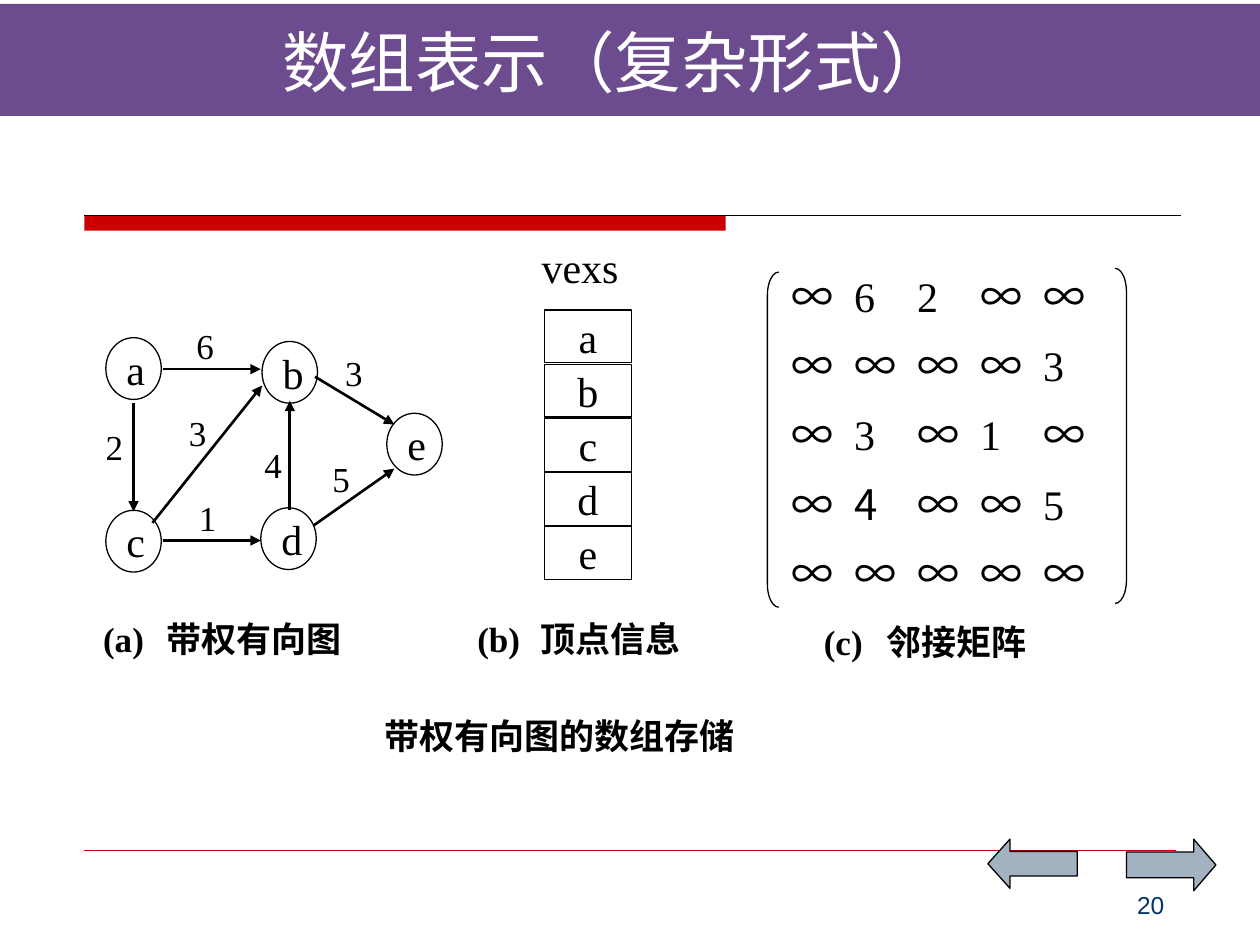
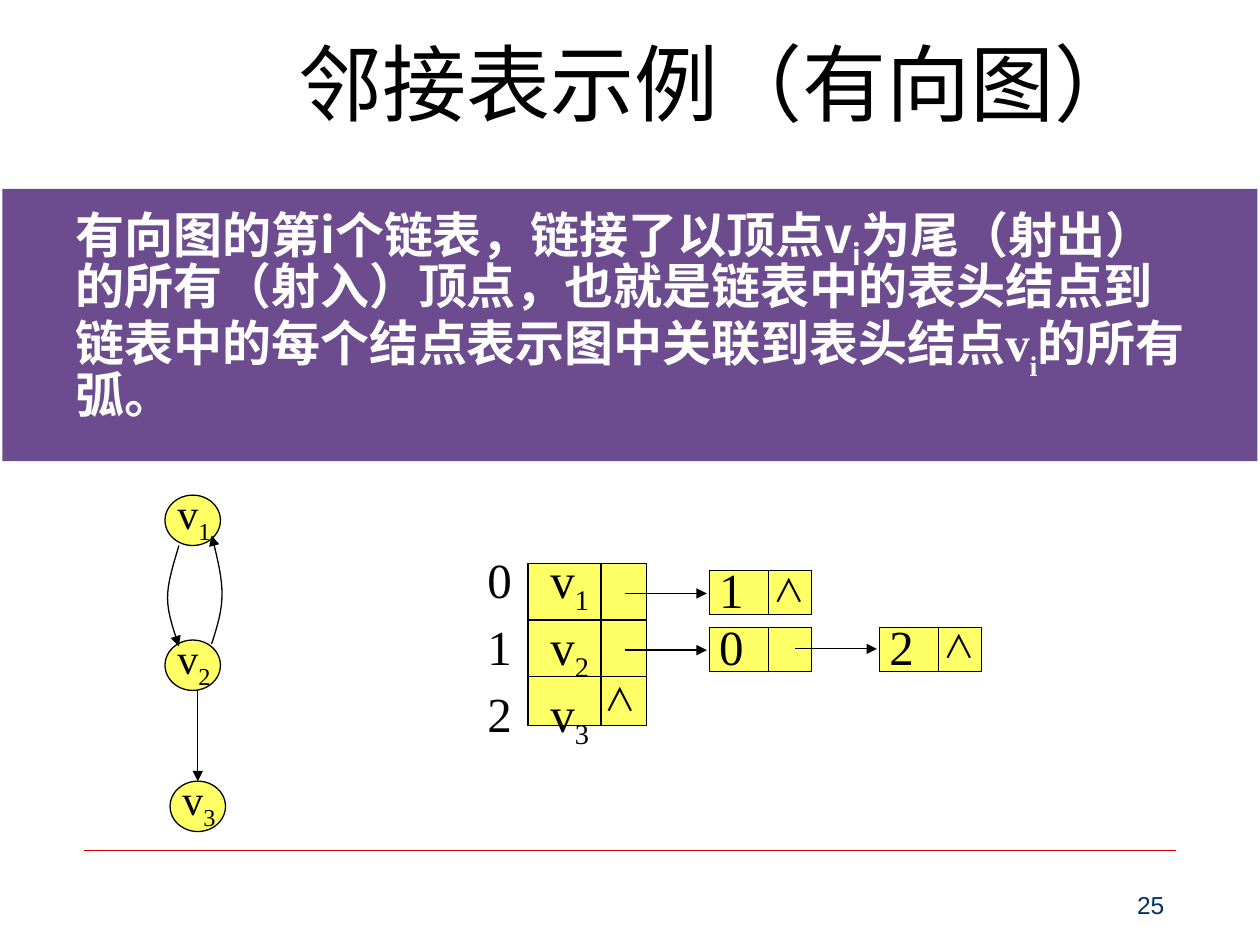
from lxml.etree import SubElement
from pptx import Presentation
from pptx.dml.color import RGBColor
from pptx.enum.shapes import MSO_CONNECTOR, MSO_SHAPE
from pptx.enum.text import MSO_ANCHOR, MSO_AUTO_SIZE, PP_ALIGN
from pptx.oxml.ns import qn
from pptx.util import Inches, Pt

PURPLE, RED, NAVY = "6C4C8F", "CC0000", "003366"
YELLOW, STEEL, BLACK, WHITE = "FFFF66", "A3B2C1", "000000", "FFFFFF"
ROMAN, HAN, SANS, TITLE = "Times New Roman", "Noto Sans CJK SC", "Arial", "DejaVu Sans"
LEFT, MID, RIGHT = PP_ALIGN.LEFT, PP_ALIGN.CENTER, PP_ALIGN.RIGHT


def color(code):
    return RGBColor.from_string(code)


def write(frame, paras, font=ROMAN, size=24, ink=BLACK, bold=False, align=LEFT,
          anchor=MSO_ANCHOR.MIDDLE, wrap=True, tabs=(), pace=None, inset=None):
    frame.auto_size = MSO_AUTO_SIZE.NONE
    frame.word_wrap = wrap
    frame.vertical_anchor = anchor
    if inset is not None:
        frame.margin_left = frame.margin_right = frame.margin_top = Inches(inset)
    if isinstance(paras, str):
        paras = [[(paras, font, 0)]]
    for i, runs in enumerate(paras):
        para = frame.add_paragraph() if i else frame.paragraphs[0]
        props = para._p.get_or_add_pPr()
        props.set("marL", "0")
        props.set("indent", "0")
        SubElement(props, qn("a:buNone"))
        if tabs:
            stops = SubElement(props, qn("a:tabLst"))
            for stop in tabs:
                SubElement(stops, qn("a:tab"), pos=str(Inches(stop)), algn="l")
        para.alignment = align
        para.space_before = Pt(0)
        if pace:
            para.line_spacing = pace
        for words, face, base in runs:
            run = para.add_run()
            run.text = words
            run.font.name = face
            run.font.size = Pt(size)
            run.font.bold = bold
            run.font.color.rgb = color(ink)
            mark = run._r.get_or_add_rPr()
            SubElement(mark, qn("a:ea"), typeface=HAN)
            if base:
                mark.set("baseline", str(base * 1000))


def stroke(item, ink, width, arrow=False):
    item.line.color.rgb = color(ink)
    item.line.width = Pt(width)
    if arrow:
        SubElement(item.line._get_or_add_ln(), qn("a:tailEnd"), type="triangle")


class Box:
    def __init__(self, slide, x=0, y=0):
        self.shapes, self.x, self.y = slide.shapes, x, y

    def spot(self, x, y):
        return Inches(self.x + x), Inches(self.y + y)

    def shape(self, kind, x, y, w, h, fill=None, ink=BLACK):
        item = self.shapes.add_shape(kind, *self.spot(x, y), Inches(w), Inches(h))
        item.shadow.inherit = False
        if fill:
            item.fill.solid()
            item.fill.fore_color.rgb = color(fill)
        else:
            item.fill.background()
        if ink:
            stroke(item, ink, 0.75)
        else:
            item.line.fill.background()
        return item

    def text(self, words, x, y, w, h, **form):
        item = self.shapes.add_textbox(*self.spot(x, y), Inches(w), Inches(h))
        write(item.text_frame, words, **form)

    def line(self, x, y, to_x, to_y, ink=BLACK, width=0.75, arrow=False):
        item = self.shapes.add_connector(
            MSO_CONNECTOR.STRAIGHT, *self.spot(x, y), *self.spot(to_x, to_y))
        stroke(item, ink, width, arrow)
        SubElement(item._element.spPr, qn("a:effectLst"))

    def curve(self, ends):
        (a, b, c, d) = ends
        dots = []
        for i in range(17):
            t = i / 16
            u = 1 - t
            mix = (u ** 3, 3 * u * u * t, 3 * u * t * t, t ** 3)
            dots.append(self.spot(*(sum(m * p[k] for m, p in zip(mix, (a, b, c, d)))
                                    for k in (0, 1))))
        path = self.shapes.build_freeform(*dots[0], scale=1.0)
        path.add_line_segments(dots[1:], close=False)
        item = path.convert_to_shape()
        item.shadow.inherit = False
        item.fill.background()
        stroke(item, BLACK, 0.75, True)


def place(holder, x, y, w, h, words, **form):
    holder.left, holder.top = Inches(x), Inches(y)
    holder.width, holder.height = Inches(w), Inches(h)
    write(holder.text_frame, words, **form)


def frame(deck, layout, number, x, y, w, h):
    slide = deck.slides.add_slide(deck.slide_layouts[layout])
    box = Box(slide)
    first = slide.shapes[0].element
    band = box.shape(MSO_SHAPE.RECTANGLE, x, y, w, h, PURPLE, None)
    first.addprevious(band.element)
    box.line(0.67, 6.75, 9.33, 6.75, RED, 0.25)
    box.text(number, 7.17, 6.83, 2.17, 0.52, font=SANS, size=14, ink=NAVY,
             align=RIGHT, anchor=MSO_ANCHOR.BOTTOM)
    return slide


def graph(slide, x, y):
    box = Box(slide, x, y)
    for name, dx, dy in (("a", 0.1, 0.15), ("b", 1.34, 0.18), ("c", 0.1, 1.52),
                         ("d", 1.33, 1.5), ("e", 2.33, 0.75)):
        node = box.shape(MSO_SHAPE.OVAL, dx, dy, 0.44, 0.49)
        write(node.text_frame, name, wrap=False)
    for ends in ((0.32, 0.67, 0.32, 1.53), (1.56, 1.52, 1.56, 0.65),
                 (0.55, 0.4, 1.33, 0.4), (0.55, 1.76, 1.33, 1.76),
                 (0.47, 1.62, 1.34, 0.53), (1.75, 1.64, 2.39, 1.19),
                 (1.76, 0.46, 2.39, 0.84)):
        box.line(*ends, width=1.5, arrow=True)
    for cost, dx, dy in (("6", 0.72, 0), ("3", 1.9, 0.21), ("2", 0, 0.8),
                         ("3", 0.66, 0.69), ("4", 1.26, 0.94), ("5", 1.8, 1.05),
                         ("1", 0.74, 1.36)):
        box.text(cost, dx, dy, 0.35, 0.43, size=20)


def vertex(slide, x, y):
    box = Box(slide, x, y)
    box.text("vexs", -0.12, -0.58, 0.95, 0.48)
    for i, name in enumerate("abcde"):
        cell = box.shape(MSO_SHAPE.RECTANGLE, 0, i * 0.43, 0.69, 0.42)
        write(cell.text_frame, name, align=MID, wrap=False)


def matrix(slide, x, y):
    box = Box(slide, x, y)
    rows = (("∞62∞∞", (0.41, 0.91, 1.33, 1.74)),
            ("∞∞∞∞3", (0.41, 0.83, 1.33, 1.91)),
            ("∞3∞1∞", (0.59, 0.93, 1.5, 1.93)),
            ("∞4∞∞5", (0.41, 0.76, 1.17, 1.66)),
            ("∞∞∞∞∞", (0.41, 0.82, 1.24, 1.65)))
    for i, (row, tabs) in enumerate(rows):
        runs = [("\t" * (k > 0) + mark,
                 HAN if mark == "∞" or (i, k) == (3, 1) else ROMAN, 0)
                for k, mark in enumerate(row)]
        box.text([runs], 0.09, i * 0.55, 2.66, 0.49, tabs=tabs)
    for kind, dx, dy in ((MSO_SHAPE.LEFT_BRACKET, 0, 0.06),
                         (MSO_SHAPE.RIGHT_BRACKET, 2.76, 0.03)):
        side = box.shape(kind, dx, dy, 0.09, 2.66)
        side.adjustments[0] = 2.06


def array(deck):
    slide = frame(deck, 5, "20", 0, 0.03, 10, 0.89)
    place(slide.shapes.title, 2.14, 0.02, 5.7, 0.92, "数组表示（复杂形式）",
          font=TITLE, size=38, ink=WHITE)
    box = Box(slide)
    box.shape(MSO_SHAPE.RECTANGLE, 0.67, 1.71, 5.09, 0.12, RED, None)
    box.line(0.67, 1.71, 9.37, 1.71)
    graph(slide, 0.74, 2.53)
    vertex(slide, 4.32, 2.46)
    matrix(slide, 6.09, 2.1)
    for words, x, y, tab in (("(a)\t带权有向图", 0.72, 4.82, 0.54),
                             ("(b)\t顶点信息", 3.69, 4.82, 0.61),
                             ("(c)\t邻接矩阵", 6.44, 4.85, 0.59),
                             ("带权有向图的数组存储", 2.95, 5.59, 1)):
        box.text(words, x, y, 4.1 if x == 2.95 else 2.3, 0.49, size=20, bold=True,
                 tabs=(tab,))
    for kind, x, h, tip in ((MSO_SHAPE.RIGHT_ARROW, 8.94, 0.41, 0.43),
                            (MSO_SHAPE.LEFT_ARROW, 7.84, 0.39, 0.45)):
        arrow = box.shape(kind, x, 6.66, 0.71, h, STEEL)
        arrow.adjustments[1] = tip


def sub(name, base=-25, font=ROMAN):
    return [(name[:-1], font, 0), (name[-1], font, base)]


def cycle(slide, x, y):
    box = Box(slide, x, y)
    for name, dx, dy in (("v1", 0, 0), ("v2", 0, 1.15), ("v3", 0.04, 2.27)):
        box.shape(MSO_SHAPE.OVAL, dx, dy, 0.44, 0.4, YELLOW)
        box.text([sub(name)], dx + 0.05, dy - 0.06, 0.36, 0.47, align=MID,
                 anchor=MSO_ANCHOR.TOP, inset=0)
    box.curve(((0.11, 0.4), (-0.01, 0.8), (-0.01, 0.84), (0.11, 1.2)))
    box.curve(((0.37, 1.18), (0.48, 0.85), (0.48, 0.74), (0.37, 0.32)))
    box.line(0.26, 1.55, 0.26, 2.27, arrow=True)


def nil(box, x, y):
    box.text("∧", x, y, 0.69, 0.61, font=HAN, size=18, anchor=MSO_ANCHOR.TOP)


def link(slide, x, y, index, last):
    box = Box(slide, x, y)
    box.shape(MSO_SHAPE.RECTANGLE, 0, 0, 0.81, 0.35, YELLOW)
    box.line(0.47, 0, 0.47, 0.35)
    box.text(index, -0.02, -0.14, 0.69, 0.67, size=28, anchor=MSO_ANCHOR.TOP)
    if last:
        nil(box, 0.41, -0.05)
    else:
        box.line(0.68, 0.17, 1.33, 0.17, arrow=True)


def heads(slide, x, y):
    box = Box(slide, x, y)
    box.shape(MSO_SHAPE.RECTANGLE, 0, 0, 0.94, 1.29, YELLOW)
    box.line(0.58, 0, 0.58, 1.29)
    for i in (0, 1):
        box.line(0, 0.45 * (i + 1), 0.94, 0.45 * (i + 1))
        box.line(0.77, 0.24 + 0.45 * i, 1.42, 0.24 + 0.45 * i, arrow=True)
    rows = [sub(f"{i}\tv{i + 1}") for i in range(3)]
    box.text(rows, -0.42, -0.16, 1.15, 1.58, size=28, tabs=(0.39,),
             anchor=MSO_ANCHOR.TOP)
    nil(box, 0.51, 0.88)
    link(slide, x + 1.44, y + 0.06, "1", True)
    link(slide, x + 1.44, y + 0.51, "0", False)
    link(slide, x + 2.79, y + 0.51, "2", True)


def listing(deck):
    slide = frame(deck, 1, "25", 0.02, 1.5, 9.96, 2.16)
    place(slide.shapes.title, 1.67, 0.25, 8.07, 0.92, "邻接表示例（有向图）",
          font=SANS, size=48, align=MID, pace=0.85)
    runs = [*sub("有向图的第i个链表，链接了以顶点vi", font=HAN),
            ("为尾（射出）的所有（射入）顶点，也就是链表中的表头结点到链表中的"
             "每个结点表示图中关联到表头结点", HAN, 0),
            *sub("vi", -30), ("的所有弧。", HAN, 0)]
    place(slide.placeholders[1], 0.5, 1.6, 9.04, 1.98, [runs], font=HAN, size=28,
          ink=WHITE, bold=True, anchor=MSO_ANCHOR.TOP, pace=0.85)
    cycle(slide, 1.31, 3.93)
    heads(slide, 4.19, 4.47)


def main():
    deck = Presentation()
    deck.slide_width, deck.slide_height = Inches(10), Inches(7.5)
    array(deck)
    listing(deck)
    deck.save("out.pptx")


if __name__ == "__main__":
    main()
